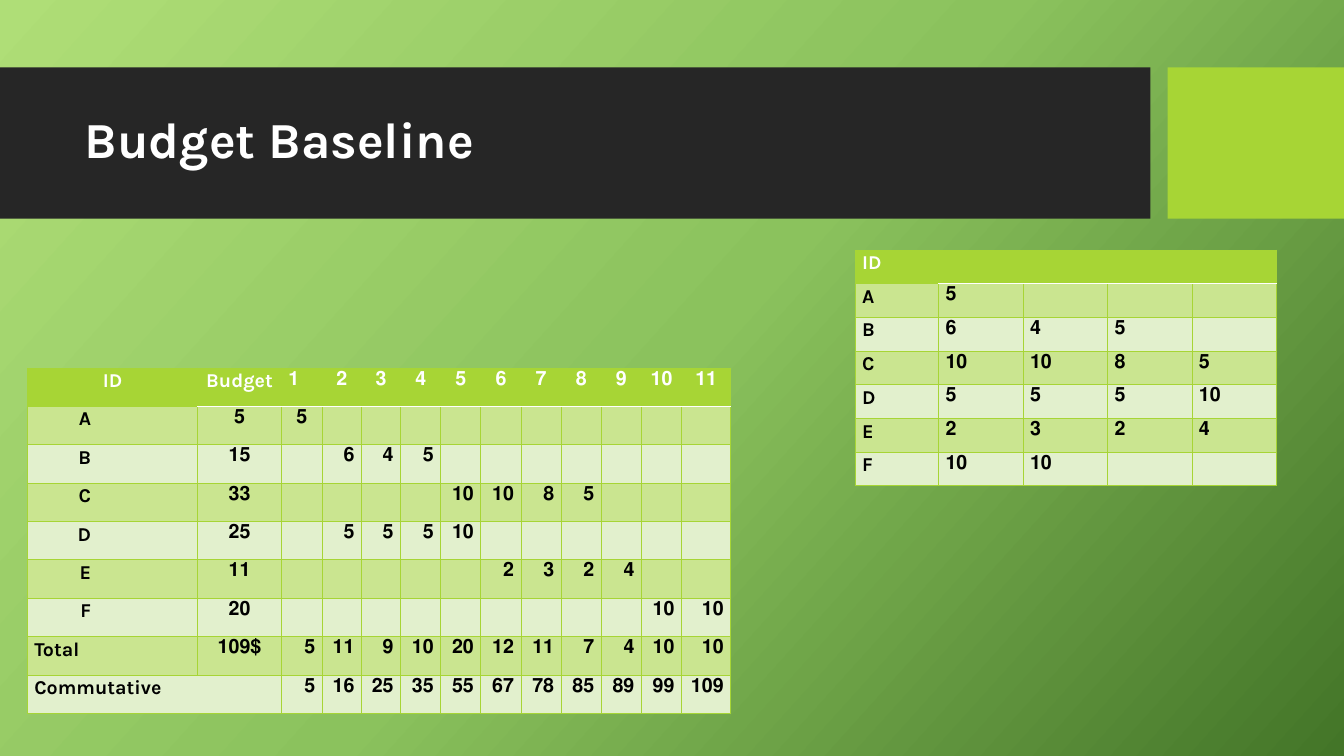
from dataclasses import dataclass
from itertools import accumulate

from lxml.etree import SubElement, fromstring
from pptx import Presentation
from pptx.dml.color import RGBColor
from pptx.enum.shapes import MSO_SHAPE
from pptx.enum.text import MSO_ANCHOR, PP_ALIGN
from pptx.oxml.ns import nsdecls, qn
from pptx.util import Inches, Pt

HUES = {
    "bar": "262626", "lime": "A7D535", "odd": "CAE590", "even": "E2F0CD",
    "white": "FFFFFF", "black": "000000",
    "dawn": "AFDE77", "noon": "8BC25D", "dusk": "437528",
}
WIDE, HIGH = Inches(13.33), Inches(7.5)
LEFT, MID, RIGHT = PP_ALIGN.LEFT, PP_ALIGN.CENTER, PP_ALIGN.RIGHT
PAD = Inches(0.07)


@dataclass(frozen=True)
class Box:
    left: float
    top: float
    wide: float
    high: float

    def place(self) -> tuple[int, int, int, int]:
        return (int(WIDE * self.left / 100), int(HIGH * self.top / 100),
                int(WIDE * self.wide / 100), int(HIGH * self.high / 100))


@dataclass(frozen=True)
class Bar:
    box: Box
    hue: str


@dataclass(frozen=True)
class Task:
    name: str
    start: int
    costs: tuple[int, ...]


@dataclass(frozen=True)
class Cell:
    text: str = ""
    align: PP_ALIGN = LEFT
    inset: int = PAD


@dataclass(frozen=True)
class Grid:
    box: Box
    cols: tuple[float, ...]
    rows: list[list[Cell]]


BARS = (
    Bar(Box(0, 8.93, 85.6, 20), "bar"),
    Bar(Box(86.87, 8.93, 13.13, 20), "lime"),
)
TITLE = Box(5.55, 10.93, 78.84, 15.73)
TASKS = (
    Task("A", 1, (5,)),
    Task("B", 2, (6, 4, 5)),
    Task("C", 5, (10, 10, 8, 5)),
    Task("D", 2, (5, 5, 5, 10)),
    Task("E", 6, (2, 3, 2, 4)),
    Task("F", 10, (10, 10)),
)
WEEKS = range(1, 12)


def cost_at(task: Task, week: int) -> int:
    step = week - task.start
    return task.costs[step] if 0 <= step < len(task.costs) else 0


def cost_grid() -> Grid:
    rows = [[Cell("ID")] + [Cell()] * 4]
    for task in TASKS:
        costs = [Cell(str(cost)) for cost in task.costs]
        rows.append([Cell(task.name), *costs] + [Cell()] * (4 - len(costs)))
    return Grid(Box(63.62, 33.07, 31.36, 31.2), (0.83,) + (0.84,) * 4, rows)


def plan_grid() -> Grid:
    rows = [[Cell("ID", MID), Cell("Budget", MID)]
            + [Cell(str(week), LEFT if week == 1 else MID) for week in WEEKS]]
    for task in TASKS:
        costs = [cost_at(task, week) for week in WEEKS]
        rows.append([Cell(task.name, RIGHT, Inches(1.06)),
                     Cell(str(sum(task.costs)), MID)]
                    + [Cell(str(cost or ""), MID if week == 1 else RIGHT)
                       for week, cost in zip(WEEKS, costs)])
    sums = [sum(cost_at(task, week) for task in TASKS) for week in WEEKS]
    rows.append([Cell("Total"), Cell(f"{sum(sums)}$", MID)]
                + [Cell(str(cost), RIGHT) for cost in sums])
    rows.append([Cell("Commutative"), Cell()]
                + [Cell(str(cost), RIGHT) for cost in accumulate(sums)])
    cols = (1.7, 0.83, 0.41, 0.39, 0.39) + (0.4,) * 7 + (0.49,)
    return Grid(Box(2.03, 48.67, 52.36, 45.73), cols, rows)


def apply(item: object, form: dict) -> None:
    for name, value in form.items():
        setattr(item, name, value)


def paint(fill, hue: str) -> None:
    fill.solid()
    fill.fore_color.rgb = RGBColor.from_string(HUES[hue])


def write(line, text: str, size: int, hue: str, align: PP_ALIGN, space: float) -> None:
    apply(line, {"alignment": align, "line_spacing": space})
    run = line.add_run()
    run.text = text
    apply(run.font, {"name": "Karla", "size": Pt(size), "bold": True})
    run.font.color.rgb = RGBColor.from_string(HUES[hue])


def edge(cell, side: str, hue: str, width: float) -> None:
    props = cell._tc.get_or_add_tcPr()
    line = SubElement(props, qn(f"a:ln{side}"), w=str(Pt(width)))
    fill = SubElement(line, qn("a:solidFill"))
    SubElement(fill, qn("a:srgbClr"), val=HUES[hue])


def draw_cell(cell, data: Cell, row: int, col: int) -> None:
    for side in "LRTB":
        rule = col > 0 and (row, side) in ((0, "B"), (1, "T"))
        edge(cell, side, "white" if rule else "lime", 1 if rule else 0.75)
    paint(cell.fill, "lime" if row == 0 else "odd" if row % 2 else "even")
    apply(cell, {"margin_left": PAD, "margin_right": data.inset,
                 "margin_top": 0, "margin_bottom": 0})
    if data.text:
        line = cell.text_frame.paragraphs[0]
        write(line, data.text, 14, "black" if row else "white", data.align, 1.07)
        if data.text[0].isdigit():
            line._p.get_or_add_pPr().set("rtl", "1")


def draw_grid(slide, grid: Grid):
    place = grid.box.place()
    table = slide.shapes.add_table(len(grid.rows), len(grid.cols), *place).table
    for col, share in zip(table.columns, grid.cols):
        col.width = int(place[2] * share / sum(grid.cols))
    for row, cells in enumerate(grid.rows):
        table.rows[row].height = place[3] // len(grid.rows)
        for col, data in enumerate(cells):
            draw_cell(table.cell(row, col), data, row, col)
    return table


def draw_back(slide) -> None:
    fill = slide.background.fill
    fill.gradient()
    stops = "".join(
        f'<a:gs pos="{spot * 1000}"><a:srgbClr val="{HUES[hue]}"/></a:gs>'
        for spot, hue in ((0, "dawn"), (50, "noon"), (100, "dusk")))
    grad = slide._element.find(f".//{qn('a:gradFill')}")
    for part in list(grad):
        grad.remove(part)
    grad.append(fromstring(f"<a:gsLst {nsdecls('a')}>{stops}</a:gsLst>"))
    SubElement(grad, qn("a:lin"), ang=str(42 * 60000), scaled="0")


def draw_bar(slide, bar: Bar) -> None:
    shape = slide.shapes.add_shape(MSO_SHAPE.RECTANGLE, *bar.box.place())
    shape.shadow.inherit = False
    paint(shape.fill, bar.hue)
    shape.line.fill.background()


def draw_title(slide) -> None:
    title = slide.shapes.title
    apply(title, dict(zip(("left", "top", "width", "height"), TITLE.place())))
    apply(title.text_frame, {"vertical_anchor": MSO_ANCHOR.MIDDLE, "word_wrap": True})
    write(title.text_frame.paragraphs[0], "Budget Baseline", 36, "white", LEFT, 0.9)
    slide.shapes._spTree.append(title._element)


def main() -> None:
    deck = Presentation()
    apply(deck, {"slide_width": WIDE, "slide_height": HIGH})
    slide = deck.slides.add_slide(deck.slide_layouts[5])
    draw_back(slide)
    for bar in BARS:
        draw_bar(slide, bar)
    draw_title(slide)
    draw_grid(slide, cost_grid())
    plan = draw_grid(slide, plan_grid())
    plan.cell(8, 0).merge(plan.cell(8, 1))
    deck.save("out.pptx")


if __name__ == "__main__":
    main()
